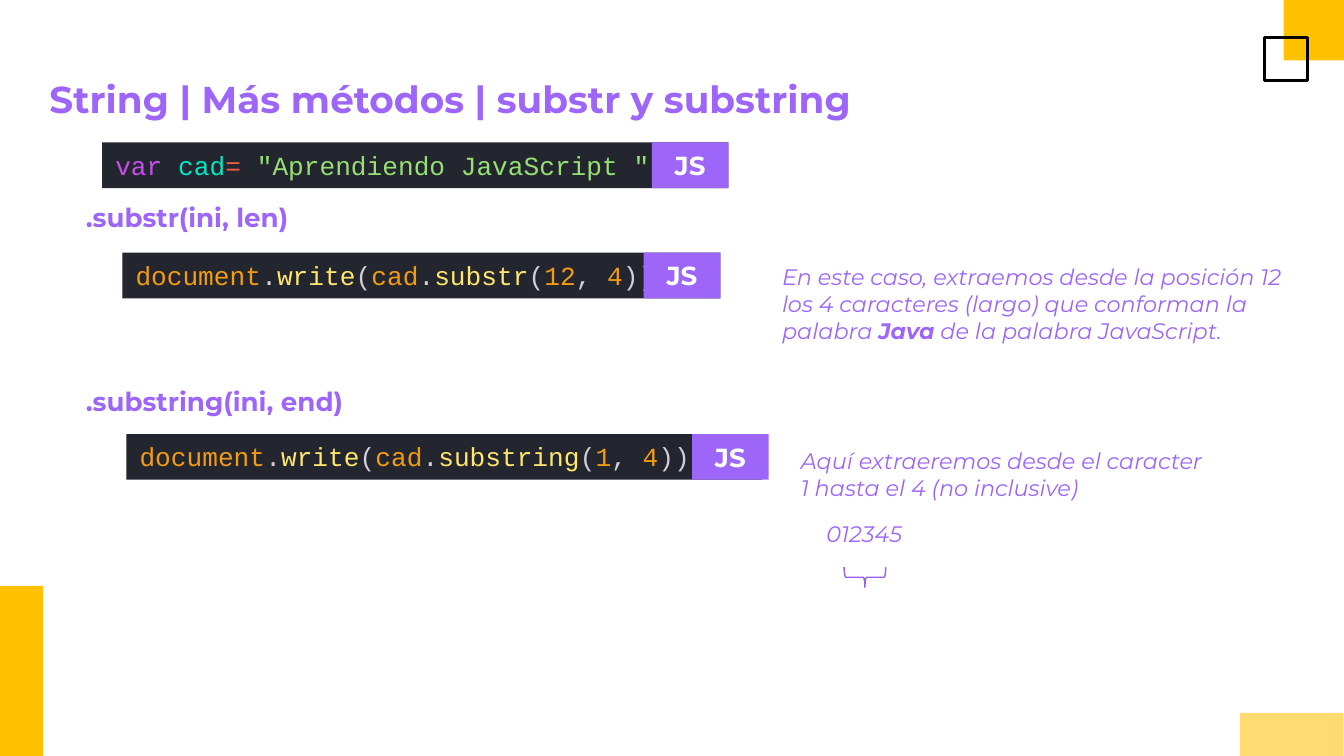
from typing import NamedTuple

from pptx import Presentation
from pptx.dml.color import RGBColor
from pptx.enum.shapes import MSO_SHAPE
from pptx.enum.text import MSO_ANCHOR, PP_ALIGN
from pptx.util import Inches, Pt

COLORS = {
    "purple": "9D66F9", "brace": "985FF6", "yellow": "FFC100", "pale": "FFDB71",
    "black": "000000", "white": "FFFFFF", "code": "23262E",
    "keyword": "C74DED", "variable": "00E8C6", "operator": "EE5D43",
    "string": "96E072", "plain": "D5CED9", "object": "F39C12", "method": "FFE66D",
}
BAR_H = 0.34
BADGE_W = 0.57


class Run(NamedTuple):
    text: str
    color: str = "purple"
    bold: bool = False
    italic: bool = False
    size: int = 14
    font: str = "Montserrat"


class Label(NamedTuple):
    box: tuple[float, float, float, float]
    runs: list[Run]


class CodeBar(NamedTuple):
    left: float
    top: float
    width: float
    badge_left: float
    tokens: list[tuple[str, str]]


def rgb(name: str) -> RGBColor:
    return RGBColor.from_string(COLORS[name])


def add_shape(s, kind, box, fill=None, line=None, width=1.0, rotation=0):
    sp = s.shapes.add_shape(kind, *map(Inches, box))
    sp.shadow.inherit = False
    sp.rotation = rotation
    if fill:
        sp.fill.solid()
        sp.fill.fore_color.rgb = rgb(fill)
    else:
        sp.fill.background()
    if line:
        sp.line.color.rgb = rgb(line)
        sp.line.width = Pt(width)
    else:
        sp.line.fill.background()
    return sp


def write(sp, runs: list[Run], v_inset: float = 0.1, anchor=MSO_ANCHOR.TOP,
          align=PP_ALIGN.LEFT) -> None:
    tf = sp.text_frame
    frame_format = {
        "word_wrap": True, "vertical_anchor": anchor,
        "margin_left": Inches(0.1), "margin_right": Inches(0.1),
        "margin_top": Inches(v_inset), "margin_bottom": Inches(v_inset),
    }
    for name, value in frame_format.items():
        setattr(tf, name, value)
    p = tf.paragraphs[0]
    p.alignment = align
    for run in runs:
        r = p.add_run()
        r.text = run.text
        font_format = {"name": run.font, "size": Pt(run.size),
                       "bold": run.bold, "italic": run.italic}
        for name, value in font_format.items():
            setattr(r.font, name, value)
        r.font.color.rgb = rgb(run.color)


def add_label(s, label: Label) -> None:
    write(s.shapes.add_textbox(*map(Inches, label.box)), label.runs)


def add_code_bar(s, bar: CodeBar) -> None:
    """Draw a dark line of code with the JS badge over its right end."""
    code = add_shape(s, MSO_SHAPE.RECTANGLE,
                     (bar.left, bar.top, bar.width, BAR_H), "code")
    write(code, [Run(text, color, font="Courier New") for text, color in bar.tokens],
          v_inset=0.05)
    badge = add_shape(s, MSO_SHAPE.RECTANGLE,
                      (bar.badge_left, bar.top, BADGE_W, BAR_H), "purple")
    write(badge, [Run("JS", "white", bold=True)],
          anchor=MSO_ANCHOR.MIDDLE, align=PP_ALIGN.CENTER)


def write_call(method: str, start: str, end: str) -> list[tuple[str, str]]:
    """Return the coloured tokens of document.write(cad.method(start, end));"""
    return [("document", "object"), (".", "plain"), ("write", "method"),
            ("(", "plain"), ("cad", "object"), (".", "plain"),
            (method, "method"), ("(", "plain"), (start, "object"),
            (", ", "plain"), (end, "object"), ("));", "plain")]


def note(text: str, bold: bool = False) -> Run:
    return Run(text, bold=bold, italic=True, size=12)


LABELS = [
    Label((0.27, 0.47, 9.47, 0.63),
          [Run("String | Más métodos | substr y substring", bold=True, size=20)]),
    Label((0.54, 1.4, 3.1, 0.46), [Run(".substr(ini, len)", bold=True)]),
    Label((5.72, 1.86, 4.09, 0.52), [
        note("En este caso, extraemos desde la posición 12 los 4 caracteres "
             "(largo) que conforman la palabra "),
        note("Java", bold=True),
        note(" de la palabra JavaScript."),
    ]),
    Label((0.54, 2.77, 4, 0.46), [Run(".substring(ini, end)", bold=True)]),
    Label((5.86, 3.23, 3.21, 0.52),
          [note("Aquí extraeremos desde el caracter 1 hasta el 4 (no inclusive)")]),
    Label((6.05, 3.77, 1.29, 0.52), [note("012345")]),
]
CODE_BARS = [
    CodeBar(0.76, 1.06, 4.66, 4.85, [
        ("var ", "keyword"), ("cad", "variable"), ("= ", "operator"),
        ('"Aprendiendo JavaScript "', "string"), (";", "plain")]),
    CodeBar(0.91, 1.88, 4.45, 4.79, write_call("substr", "12", "4")),
    CodeBar(0.94, 3.23, 4.73, 5.15, write_call("substring", "1", "4")),
]


def main() -> None:
    prs = Presentation()
    prs.slide_width = Inches(10)
    prs.slide_height = prs.slide_width * 9 // 16
    s = prs.slides.add_slide(prs.slide_layouts[6])

    add_shape(s, MSO_SHAPE.RECTANGLE, (9.55, 0, 0.45, 0.45), "yellow")
    add_shape(s, MSO_SHAPE.RECTANGLE, (0, 4.36, 0.32, 1.27), "yellow")
    add_shape(s, MSO_SHAPE.RECTANGLE, (9.41, 0.28, 0.32, 0.32), line="black", width=1.5)
    add_shape(s, MSO_SHAPE.RECTANGLE, (9.45, 5.08, 0.32, 0.77), "pale", rotation=90)

    for label in LABELS:
        add_label(s, label)
    for bar in CODE_BARS:
        add_code_bar(s, bar)

    brace = add_shape(s, MSO_SHAPE.RIGHT_BRACE, (6.36, 4.14, 0.15, 0.31),
                      line="brace", width=0.75, rotation=90)
    brace.adjustments[0] = 0.08
    brace.adjustments[1] = 0.5

    prs.save("out.pptx")


if __name__ == "__main__":
    main()
